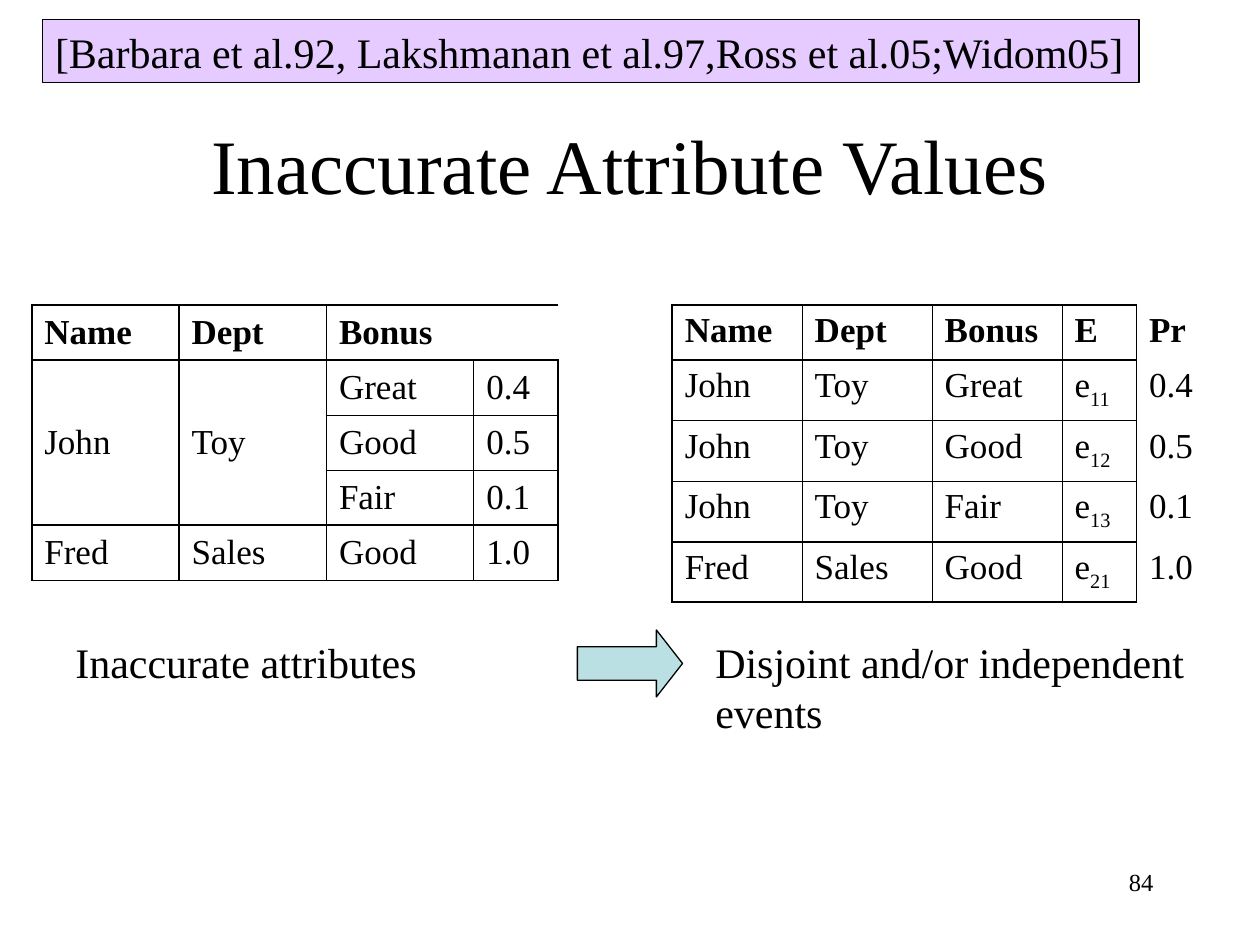
"""Build a slide relating inaccurate attribute values to disjoint and independent events."""
from dataclasses import dataclass

from lxml.etree import SubElement
from pptx import Presentation
from pptx.dml.color import RGBColor
from pptx.enum.shapes import MSO_SHAPE
from pptx.enum.text import MSO_ANCHOR, MSO_AUTO_SIZE, PP_ALIGN
from pptx.oxml.ns import qn
from pptx.util import Cm, Pt


@dataclass(frozen=True)
class Theme:
    font: str = "Times New Roman"
    ink: str = "000000"
    banner: str = "CC99FF"
    banner_opacity: int = 50
    arrow: str = "BBE0E3"
    title: int = 44
    body: int = 24
    cell: int = 20
    number: int = 14
    outline: float = 0.75
    thin: float = 0.45
    heavy: float = 1.08
    group: float = 1.47


THEME = Theme()
NO_STYLE = "{2D5ABB26-0587-4C30-8999-92F81FD0307C}"

TITLE = "Inaccurate Attribute Values"
CITATION = "[Barbara et al.92, Lakshmanan et al.97,Ross et al.05;Widom05]"
TEXT_BOXES = [
    ("Inaccurate attributes", (1.27, 12.7, 7.39, 1.27),
     dict(size=THEME.body, wrap=False)),
    ("Disjoint and/or independent\vevents", (14.17, 12.7, 9.96, 2.29),
     dict(size=THEME.body, wrap=False)),
    ("84", (18.2, 17.35, 5.3, 1.27),
     dict(size=THEME.number, align=PP_ALIGN.RIGHT)),
]

BONUS_TABLE = dict(
    rows=[
        ["Name", "Dept", "Bonus", ""],
        ["John", "Toy", "Great", "0.4"],
        ["", "", "Good", "0.5"],
        ["", "", "Fair", "0.1"],
        ["Fred", "Sales", "Good", "1.0"],
    ],
    left=0.64,
    widths=[2.97, 2.97, 2.97, 1.7],
    heights=[1.11] * 5,
    spans={(0, 2): (1, 2), (1, 0): (3, 1), (1, 1): (3, 1)},
    row_lines=[THEME.heavy] * 2 + [THEME.thin] * 2 + [THEME.heavy] * 2,
    column_lines=[THEME.heavy] * 3 + [THEME.thin, THEME.heavy],
    ruled_columns=4,
    anchor=MSO_ANCHOR.MIDDLE,
)
EVENT_TABLE = dict(
    rows=[
        ["Name", "Dept", "Bonus", "E", "Pr"],
        ["John", "Toy", "Great", ("e", "11"), "0.4"],
        ["John", "Toy", "Good", ("e", "12"), "0.5"],
        ["John", "Toy", "Fair", ("e", "13"), "0.1"],
        ["Fred", "Sales", "Good", ("e", "21"), "1.0"],
    ],
    left=13.55,
    widths=[2.62, 2.62, 2.62, 1.5, 1.63],
    heights=[1.11] + [1.22] * 4,
    spans={},
    row_lines=[THEME.heavy] * 2 + [THEME.thin] * 2 + [THEME.group, THEME.heavy],
    column_lines=[THEME.heavy] + [THEME.thin] * 4 + [0],
    ruled_columns=4,
    anchor=MSO_ANCHOR.TOP,
)
TABLE_TOP = 6.15


def write(frame, text, size, bold=False, align=PP_ALIGN.LEFT, wrap=True):
    """Write a string, or a (base, subscript) pair, into a text frame."""
    frame.word_wrap = wrap
    paragraph = frame.paragraphs[0]
    paragraph.alignment = align
    base, subscript = (text, "") if isinstance(text, str) else text
    paragraph.text = base
    if subscript:
        run = paragraph.add_run()
        run.text = subscript
        run._r.get_or_add_rPr().set("baseline", "-25000")
    for run in paragraph.runs:
        run.font.name = THEME.font
        run.font.size = Pt(size)
        run.font.bold = bold
        run.font.color.rgb = RGBColor.from_string(THEME.ink)


def add_shape(slide, kind, box, color):
    """Add a flat, outlined preset shape."""
    shape = slide.shapes.add_shape(kind, *map(Cm, box))
    shape.shadow.inherit = False
    shape.fill.solid()
    shape.fill.fore_color.rgb = RGBColor.from_string(color)
    shape.line.color.rgb = RGBColor.from_string(THEME.ink)
    shape.line.width = Pt(THEME.outline)
    return shape


def add_banner(slide):
    """Add the translucent citation banner."""
    banner = add_shape(slide, MSO_SHAPE.RECTANGLE, (0.86, 0.4, 22.1, 1.27), THEME.banner)
    color = banner._element.spPr.find(qn("a:solidFill"))[0]
    SubElement(color, qn("a:alpha"), val=str(THEME.banner_opacity * 1000))
    write(banner.text_frame, CITATION, size=THEME.body, wrap=False)
    banner.text_frame.vertical_anchor = MSO_ANCHOR.TOP
    banner.text_frame.auto_size = MSO_AUTO_SIZE.SHAPE_TO_FIT_TEXT


def set_border(cell, side, weight):
    """Draw one cell edge, or hide it when the weight is zero."""
    line = SubElement(cell._tc.get_or_add_tcPr(), qn(f"a:ln{side}"), w=str(Pt(weight)))
    if weight:
        fill = SubElement(line, qn("a:solidFill"))
        SubElement(fill, qn("a:srgbClr"), val=THEME.ink)
    else:
        SubElement(line, qn("a:noFill"))


def add_table(slide, rows, left, widths, heights, spans, row_lines, column_lines,
              ruled_columns, anchor):
    """Add a table whose borders follow its row and column line weights."""
    table = slide.shapes.add_table(
        len(rows), len(widths), Cm(left), Cm(TABLE_TOP),
        Cm(sum(widths)), Cm(sum(heights))).table
    table.first_row = table.horz_banding = False
    table._tbl.tblPr.find(qn("a:tableStyleId")).text = NO_STYLE
    for column, width in zip(table.columns, widths):
        column.width = Cm(width)
    for row, height in zip(table.rows, heights):
        row.height = Cm(height)

    owners = {}
    for (top, first), (height, width) in spans.items():
        table.cell(top, first).merge(table.cell(top + height - 1, first + width - 1))
        for r in range(top, top + height):
            for c in range(first, first + width):
                owners[r, c] = (top, first)

    for r, values in enumerate(rows):
        for c, value in enumerate(values):
            cell = table.cell(r, c)
            ruled = c < ruled_columns
            owner = owners.get((r, c), (r, c))
            edges = [
                ("L", (r, c - 1), column_lines[c]),
                ("R", (r, c + 1), column_lines[c + 1]),
                ("T", (r - 1, c), row_lines[r] if ruled else 0),
                ("B", (r + 1, c), row_lines[r + 1] if ruled else 0),
            ]
            for side, neighbour, weight in edges:
                set_border(cell, side, 0 if owners.get(neighbour) == owner else weight)
            cell.fill.background()
            cell.vertical_anchor = anchor
            if value:
                write(cell.text_frame, value, size=THEME.cell, bold=r == 0)


def main():
    """Assemble and save the slide."""
    presentation = Presentation()
    presentation.slide_width, presentation.slide_height = Cm(25.4), Cm(19.05)
    slide = presentation.slides.add_slide(presentation.slide_layouts[5])

    title = slide.shapes.title
    title.left, title.top, title.width, title.height = map(Cm, (1.9, 1.7, 21.6, 3.18))
    write(title.text_frame, TITLE, size=THEME.title, align=PP_ALIGN.CENTER)
    title.text_frame.vertical_anchor = MSO_ANCHOR.MIDDLE

    add_banner(slide)
    for table in (BONUS_TABLE, EVENT_TABLE):
        add_table(slide, **table)
    for text, box, style in TEXT_BOXES:
        frame = slide.shapes.add_textbox(*map(Cm, box)).text_frame
        write(frame, text, **style)
    arrow = add_shape(slide, MSO_SHAPE.RIGHT_ARROW, (11.64, 12.7, 2.12, 1.35), THEME.arrow)
    arrow.adjustments[0], arrow.adjustments[1] = 0.5, 0.39

    presentation.save("out.pptx")


if __name__ == "__main__":
    main()
